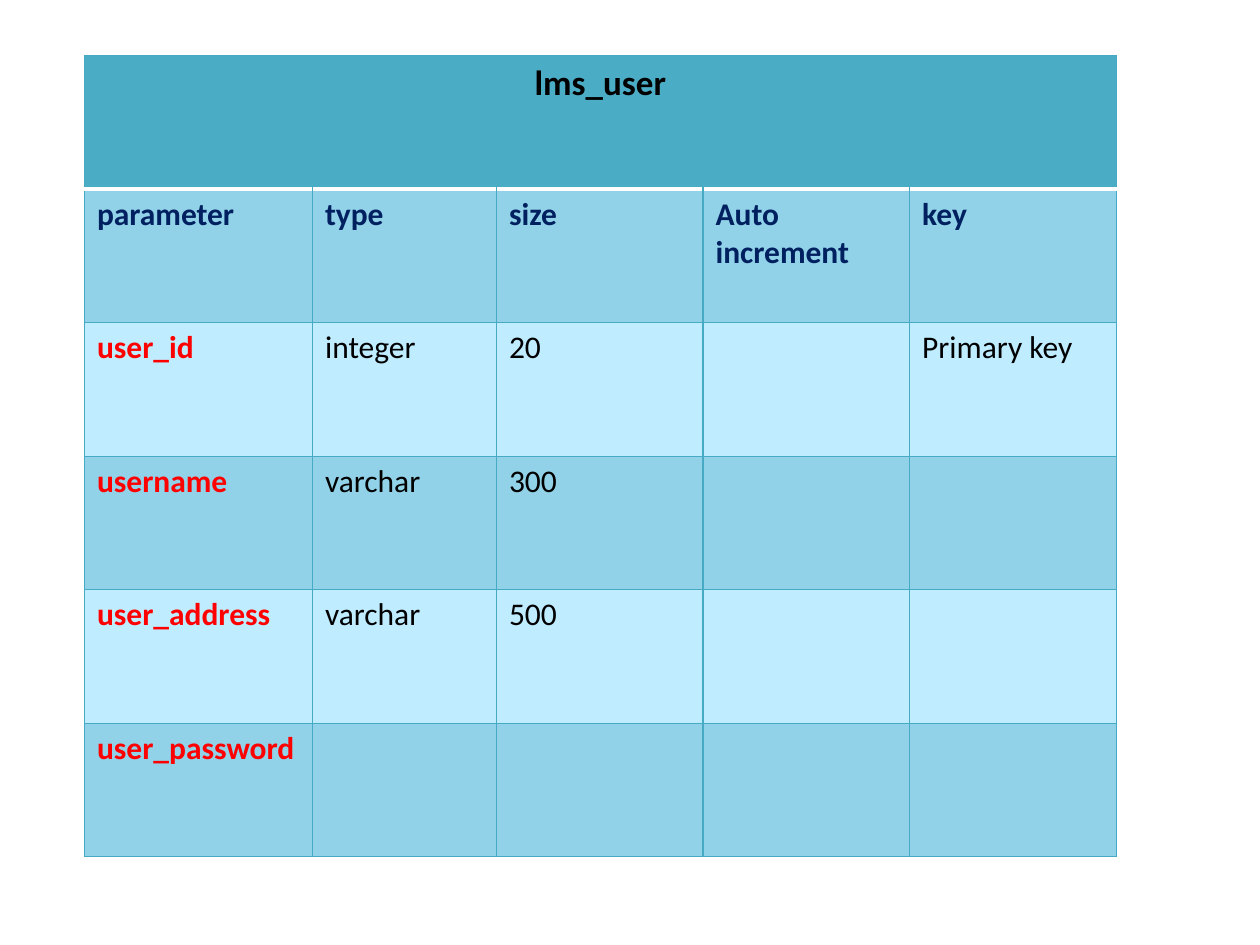
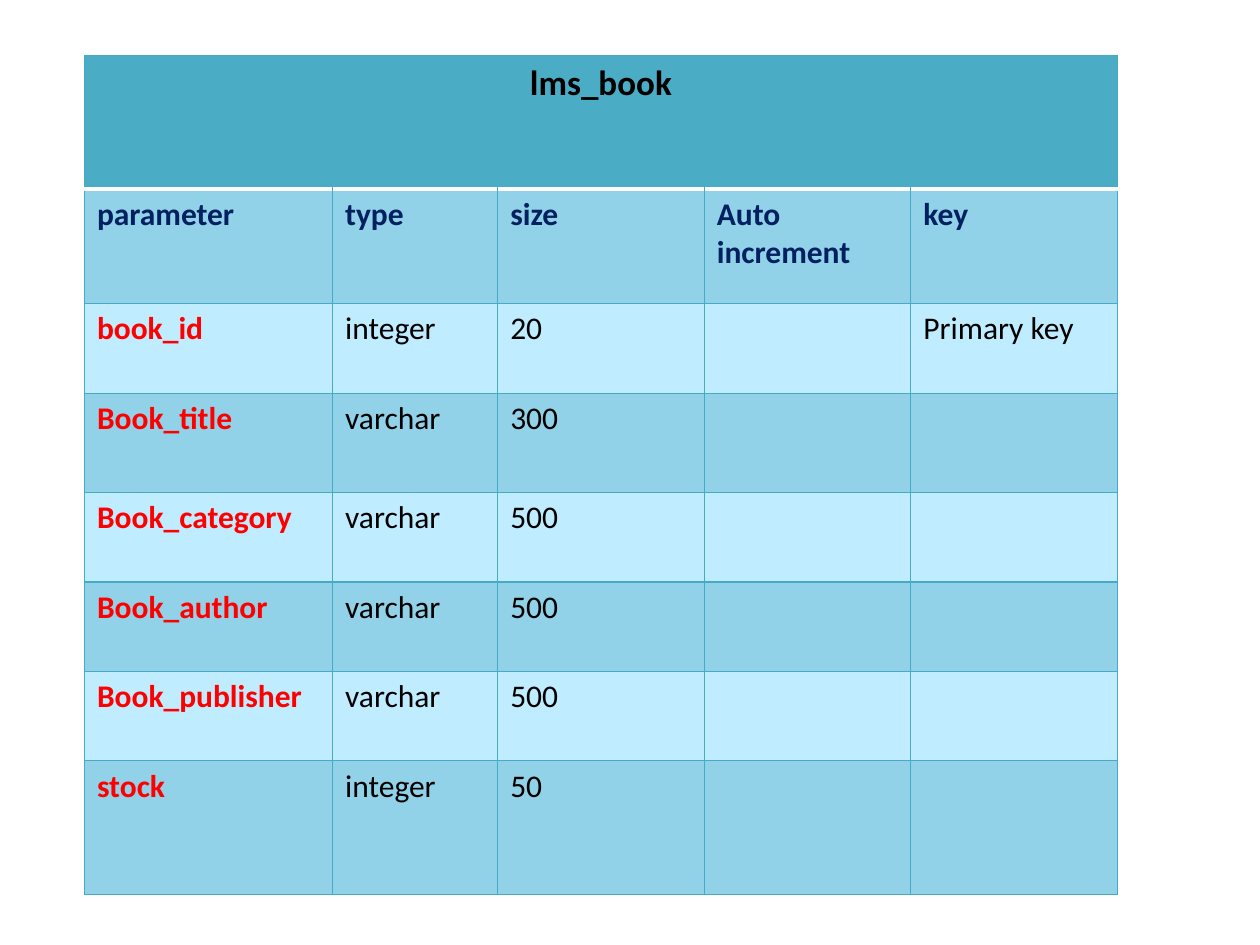
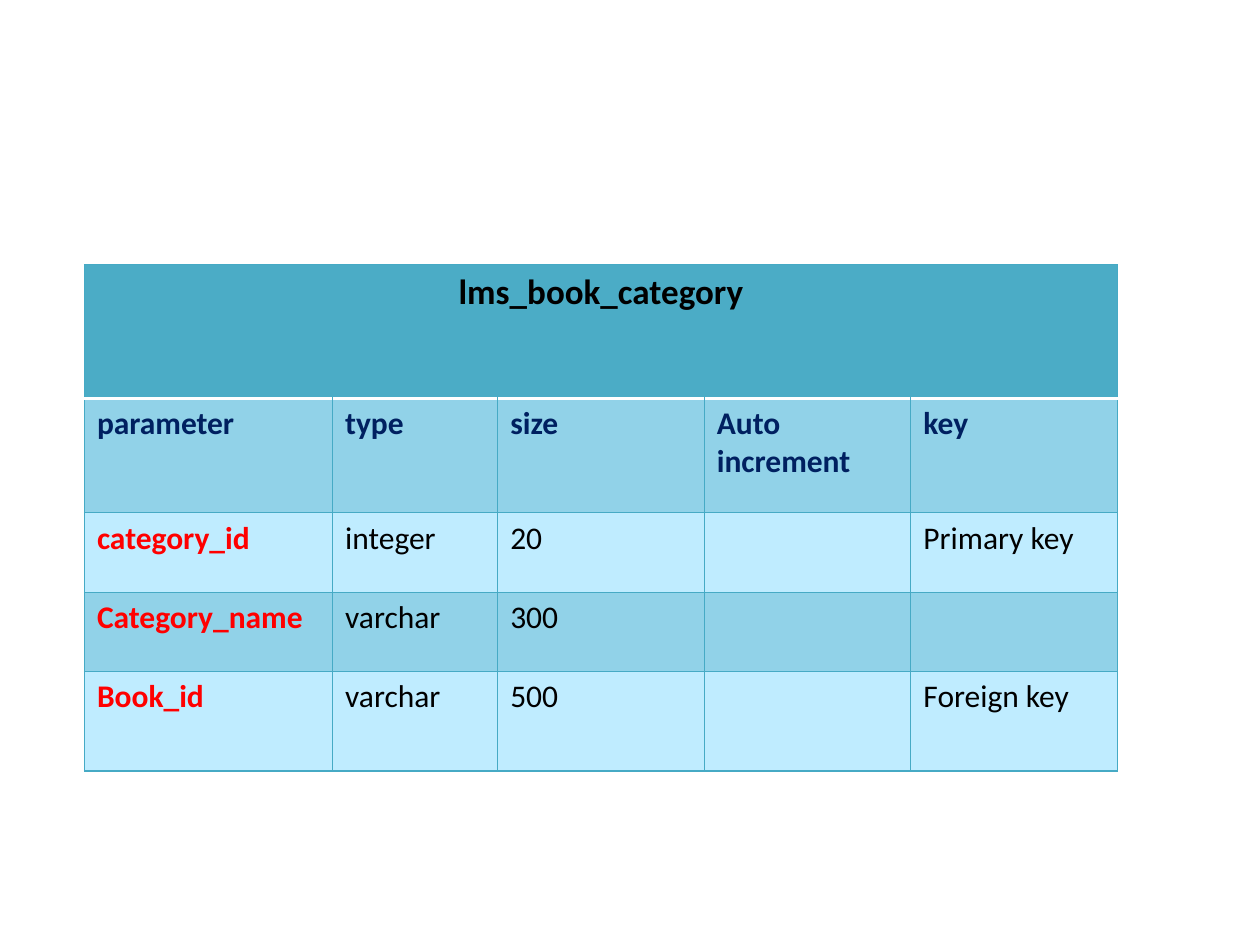
from lxml.etree import SubElement
from pptx import Presentation
from pptx.dml.color import RGBColor
from pptx.enum.text import PP_ALIGN
from pptx.oxml.ns import qn
from pptx.util import Inches, Pt

TEAL = RGBColor(0x4B, 0xAC, 0xC6)
BAND = RGBColor(0x91, 0xD2, 0xE8)
PALE = RGBColor(0xBF, 0xEC, 0xFF)
GRID = RGBColor(0x46, 0xAA, 0xC5)
NAVY = RGBColor(0x00, 0x20, 0x60)
RED = RGBColor(0xFF, 0x00, 0x00)
BLACK = RGBColor(0x00, 0x00, 0x00)
WHITE = RGBColor(0xFF, 0xFF, 0xFF)

FONT = "Calibri"
HEADINGS = ("parameter", "type", "size", "Auto increment", "key")
LEFT = 0.67
TITLE_HEIGHT = 1.06
NARROW_NAMES = (1.81, 1.46, 1.64, 1.64, 1.64)
WIDE_NAMES = (1.97, 1.31, 1.64, 1.64, 1.64)


class SchemaDeck:
    def __init__(self):
        self.presentation = Presentation()
        self.presentation.slide_width = Inches(10)
        self.presentation.slide_height = Inches(7.5)
        self.slide = None

    def add_slide(self):
        self.slide = self.presentation.slides.add_slide(self.presentation.slide_layouts[6])

    def style_borders(self, cell, **special):
        """Draw the grid lines; special maps a side (L, R, T, B) to (colour, points)."""
        properties = cell._tc.get_or_add_tcPr()
        for position, side in enumerate("LRTB"):
            colour, points = special.get(side, (GRID, 0.75))
            line = SubElement(properties, qn(f"a:ln{side}"), w=str(Pt(points)))
            fill = SubElement(line, qn("a:solidFill"))
            SubElement(fill, qn("a:srgbClr"), val=str(colour))
            properties.insert(position, line)

    def write_cell(self, cell, text, colour, bold, size=18, alignment=PP_ALIGN.LEFT):
        paragraph = cell.text_frame.paragraphs[0]
        paragraph.alignment = alignment
        if text:
            paragraph.add_run().text = text
        font = paragraph.font
        font.name, font.size, font.bold = FONT, Pt(size), bold
        font.color.rgb = colour

    def add_schema_table(self, title, top, widths, heading_height, fields):
        """Each field is (row height, name, type, size, key)."""
        heights = [TITLE_HEIGHT, heading_height] + [field[0] for field in fields]
        rows = [HEADINGS] + [(name, kind, size, "", key) for _, name, kind, size, key in fields]
        frame = self.slide.shapes.add_table(
            len(heights), len(widths), Inches(LEFT), Inches(top),
            Inches(sum(widths)), Inches(sum(heights)))
        table = frame.table
        table.first_row = table.horz_banding = False
        for column, width in zip(table.columns, widths):
            column.width = Inches(width)
        for row, height in zip(table.rows, heights):
            row.height = Inches(height)

        title_rule = (WHITE, 2)
        title_cell = table.cell(0, 0)
        title_cell.merge(table.cell(0, len(widths) - 1))
        self.write_cell(title_cell, title, BLACK, True, 20, PP_ALIGN.CENTER)
        for cell in table.rows[0].cells:
            cell.fill.solid()
            cell.fill.fore_color.rgb = TEAL
            self.style_borders(cell, B=title_rule)

        for row_number, values in enumerate(rows, start=1):
            is_heading = row_number == 1
            for column_number, text in enumerate(values):
                cell = table.cell(row_number, column_number)
                is_name = column_number == 0
                colour = NAVY if is_heading else RED if is_name else BLACK
                self.write_cell(cell, text, colour, is_heading or is_name)
                cell.fill.solid()
                cell.fill.fore_color.rgb = BAND if row_number % 2 else PALE
                self.style_borders(cell, **({"T": title_rule} if is_heading else {}))


def main():
    deck = SchemaDeck()

    deck.add_slide()
    deck.add_schema_table("lms_user", 0.44, NARROW_NAMES, 1.06, [
        (1.06, "user_id", "integer", "20", "Primary key"),
        (1.06, "username", "varchar", "300", ""),
        (1.06, "user_address", "varchar", "500", ""),
        (1.06, "user_password", "", "", ""),
    ])

    deck.add_slide()
    deck.add_schema_table("lms_book", 0.44, WIDE_NAMES, 0.91, [
        (0.71, "book_id", "integer", "20", "Primary key"),
        (0.79, "Book_title", "varchar", "300", ""),
        (0.71, "Book_category", "varchar", "500", ""),
        (0.71, "Book_author", "varchar", "500", ""),
        (0.71, "Book_publisher", "varchar", "500", ""),
        (1.06, "stock", "integer", "50", ""),
    ])

    deck.add_slide()
    deck.add_schema_table("lms_book_category", 2.1, WIDE_NAMES, 0.91, [
        (0.63, "category_id", "integer", "20", "Primary key"),
        (0.63, "Category_name", "varchar", "300", ""),
        (0.79, "Book_id", "varchar", "500", "Foreign key"),
    ])

    deck.presentation.save("out.pptx")


if __name__ == "__main__":
    main()
